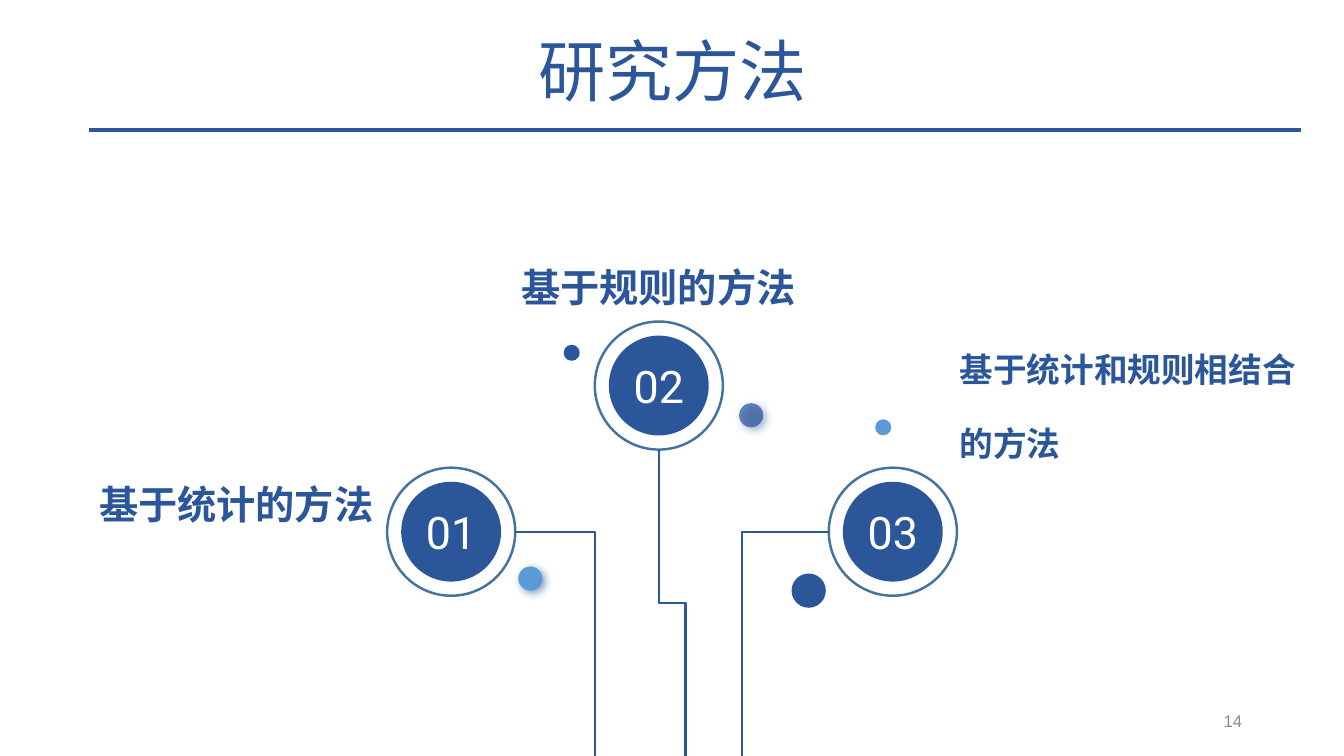
from dataclasses import dataclass

from lxml import etree
from pptx import Presentation
from pptx.dml.color import RGBColor
from pptx.enum.shapes import MSO_CONNECTOR, MSO_SHAPE
from pptx.enum.text import MSO_ANCHOR, PP_ALIGN
from pptx.oxml.ns import qn
from pptx.util import Emu, Inches, Pt

OVAL = MSO_SHAPE.OVAL
STRAIGHT, ELBOW = MSO_CONNECTOR.STRAIGHT, MSO_CONNECTOR.ELBOW
LEFT, CENTER, RIGHT = PP_ALIGN.LEFT, PP_ALIGN.CENTER, PP_ALIGN.RIGHT
TOP, MIDDLE = MSO_ANCHOR.TOP, MSO_ANCHOR.MIDDLE


@dataclass(frozen=True)
class Theme:
    blue: str = "2B579A"
    sky: str = "5B9BD5"
    ring: str = "43739E"
    white: str = "FFFFFF"
    grey: str = "8C8C8C"
    title_font: str = "Noto Sans CJK SC"
    label_font: str = "Noto Sans CJK JP"
    digit_font: str = "Roboto"
    page_font: str = "Arial"
    title: int = 48
    digit: int = 32
    label: int = 28
    small_label: int = 24
    page: int = 12


THEME = Theme()
DECK = Presentation()
DECK.slide_width, DECK.slide_height = Inches(13.33), Inches(7.5)
SLIDE = DECK.slides.add_slide(DECK.slide_layouts[6])


# Positions are percentages of the slide; diameters are percentages of its width
def across(share: float) -> Emu:
    return Emu(round(DECK.slide_width * share / 100))


def down(share: float) -> Emu:
    return Emu(round(DECK.slide_height * share / 100))


@dataclass(frozen=True)
class Label:
    lines: tuple[str, ...]
    frame: tuple[float, float, float, float]
    font: str
    size: int
    align: PP_ALIGN
    color: str = THEME.blue
    bold: bool = False
    spacing: float = 1.0
    before: int = 0
    anchor: MSO_ANCHOR = TOP


@dataclass(frozen=True)
class Node:
    number: str
    x: float
    y: float
    stem_x: float


@dataclass(frozen=True)
class Dot:
    x: float
    y: float
    diameter: float
    color: str
    shadow: bool = False
    opacity: int = 100


RING, DISC = 9.53, 7.43
METHOD = {"font": THEME.label_font, "bold": True, "spacing": 1.5, "before": 10}
LABELS = (
    Label(("研究方法",), (20.63, 5.33, 58.81, 6.67), THEME.title_font, THEME.title,
          CENTER, spacing=0.8),
    Label(("基于统计的方法",), (3.38, 59.73, 25.13, 24.4), size=THEME.label,
          align=RIGHT, **METHOD),
    Label(("基于规则的方法",), (32.93, 31.07, 32.11, 18), size=THEME.label,
          align=CENTER, **METHOD),
    Label(("基于统计和规则相结合", "的方法"), (70.67, 42.8, 26.78, 19.07),
          size=THEME.small_label, align=LEFT, **METHOD),
    Label(("14",), (70.67, 92.67, 22.5, 5.33), THEME.page_font, THEME.page, RIGHT,
          THEME.grey, anchor=MIDDLE),
)
NODES = (
    Node("01", 33.57, 70.33, 44.26),
    Node("02", 49.02, 51, 51.01),
    Node("03", 66.43, 70.33, 55.21),
)
DOTS = (
    Dot(55.89, 54.93, 1.8, THEME.blue, shadow=True, opacity=72),
    Dot(60.17, 78.13, 2.55, THEME.blue),
    Dot(39.46, 76.53, 1.8, THEME.sky, shadow=True),
    Dot(65.72, 56.53, 1.2, THEME.sky),
    Dot(42.54, 46.67, 1.2, THEME.blue),
)


def apply(target, values: dict) -> None:
    for name, value in values.items():
        setattr(target, name, value)


def write(frame, lines: tuple[str, ...], font: str, size: int, color: str,
          bold: bool, paragraph_format: dict) -> None:
    for index, line in enumerate(lines):
        para = frame.add_paragraph() if index else frame.paragraphs[0]
        apply(para, paragraph_format)
        span = para.add_run()
        span.text = line
        apply(span.font, {"name": font, "size": Pt(size), "bold": bold})
        span.font.color.rgb = RGBColor.from_string(color)
        east_asian = etree.SubElement(span.font._element, qn("a:ea"))
        east_asian.set("typeface", font)


def add_label(label: Label) -> None:
    left, top, width, height = label.frame
    box = SLIDE.shapes.add_textbox(across(left), down(top), across(width), down(height))
    apply(box.text_frame, {"word_wrap": True, "vertical_anchor": label.anchor})
    write(box.text_frame, label.lines, label.font, label.size, label.color, label.bold,
          {"alignment": label.align, "line_spacing": label.spacing,
           "space_before": Pt(label.before)})


def add_circle(x: float, y: float, diameter: float):
    size = across(diameter)
    circle = SLIDE.shapes.add_shape(
        OVAL, across(x) - size // 2, down(y) - size // 2, size, size)
    circle.shadow.inherit = False
    circle.fill.background()
    circle.line.fill.background()
    return circle


def fill_circle(circle, color: str) -> None:
    circle.fill.solid()
    circle.fill.fore_color.rgb = RGBColor.from_string(color)


def add_line(kind: MSO_CONNECTOR, start: tuple[int, int], end: tuple[int, int],
             width: float):
    line = SLIDE.shapes.add_connector(kind, *start, *end)
    line.line.width = Pt(width)
    line.line.color.rgb = RGBColor.from_string(THEME.blue)
    etree.SubElement(line._element.spPr, qn("a:effectLst"))
    return line


def add_stem(node: Node) -> None:
    x, y, foot = across(node.x), down(node.y), across(node.stem_x)
    radius, bottom = across(RING) // 2, DECK.slide_height
    if node.number == "02":
        # A quarter turn makes the elbow leave the ring downwards
        start_y = y + radius
        length, shift = bottom - start_y, foot - x
        left = (x + foot - length) // 2
        top = (start_y + bottom - shift) // 2
        stem = add_line(ELBOW, (left + length, top), (left, top + shift), 1.5)
        stem._element.spPr.find(qn("a:xfrm")).set("rot", str(270 * 60000))
    else:
        side = x + radius if foot > x else x - radius
        stem = add_line(ELBOW, (side, y), (foot, bottom), 1.5)
        stem._element.spPr.find(qn("a:prstGeom")).set("prst", "bentConnector2")


def add_node(node: Node) -> None:
    ring = add_circle(node.x, node.y, RING)
    ring.line.width = Pt(1.75)
    ring.line.color.rgb = RGBColor.from_string(THEME.ring)
    add_stem(node)
    disc = add_circle(node.x, node.y, DISC)
    fill_circle(disc, THEME.blue)
    apply(disc.text_frame, {"word_wrap": False, "vertical_anchor": MIDDLE})
    write(disc.text_frame, (node.number,), THEME.digit_font, THEME.digit, THEME.white,
          False, {"alignment": CENTER})


def add_color(parent, color: str, opacity: int) -> None:
    tint = etree.SubElement(parent, qn("a:srgbClr"), val=color)
    etree.SubElement(tint, qn("a:alpha"), val=str(opacity * 1000))


def add_dot(dot: Dot) -> None:
    circle = add_circle(dot.x, dot.y, dot.diameter)
    fill_circle(circle, dot.color)
    properties = circle._element.spPr
    if dot.opacity < 100:
        solid = properties.find(qn("a:solidFill"))
        solid.remove(solid[0])
        add_color(solid, dot.color, dot.opacity)
    if dot.shadow:
        shadow = etree.SubElement(
            properties.find(qn("a:effectLst")), qn("a:outerShdw"),
            blurRad=str(Pt(6)), dist=str(Pt(3)), dir=str(45 * 60000))
        add_color(shadow, THEME.blue, 60)


def main() -> None:
    # Title, method names and page number
    for label in LABELS:
        add_label(label)
    add_line(STRAIGHT, (across(6.6), down(17.2)), (across(96.77), down(17.2)), 2.5)
    # Numbered tree with scattered dots
    for node in NODES:
        add_node(node)
    for dot in DOTS:
        add_dot(dot)
    DECK.save("out.pptx")


if __name__ == "__main__":
    main()
